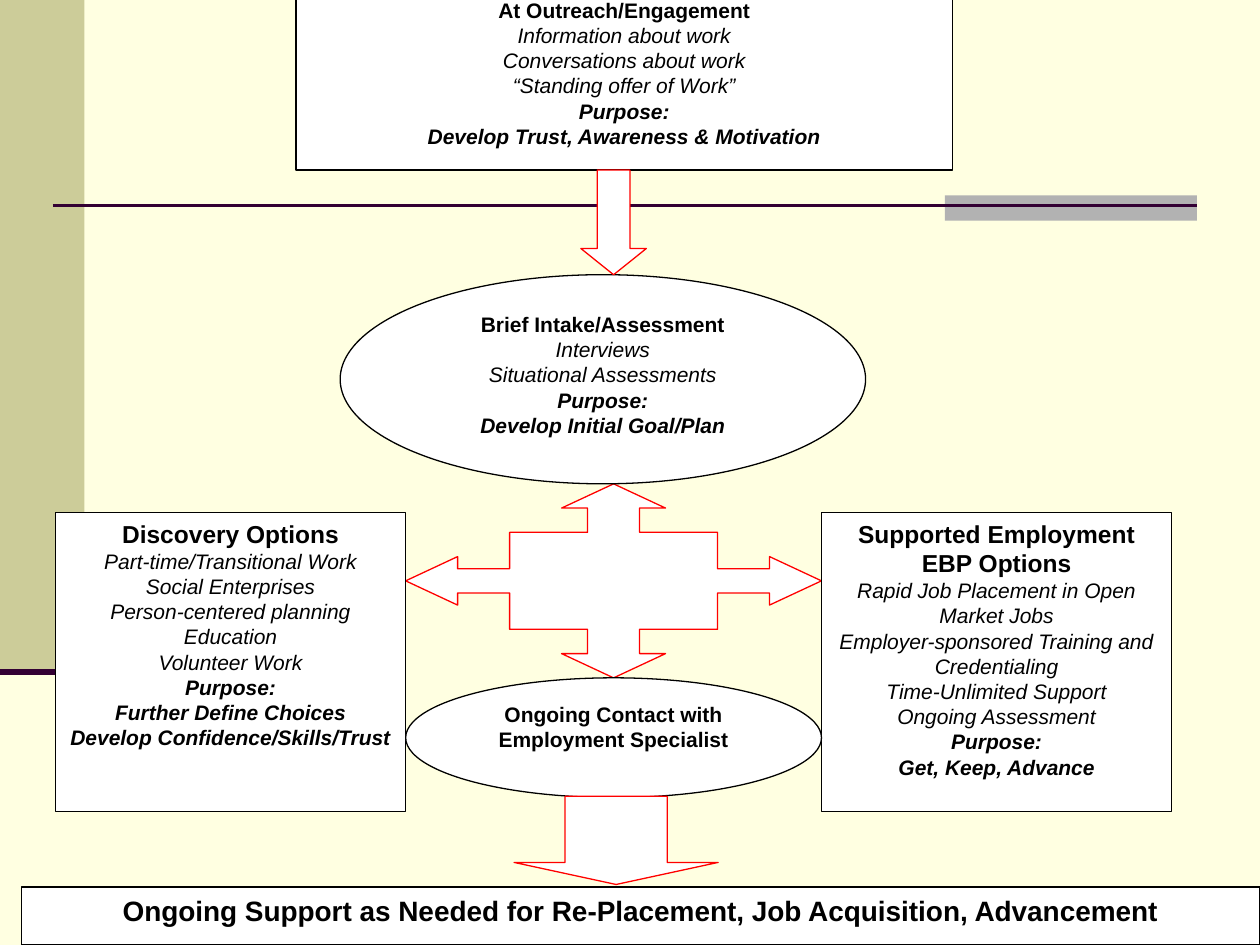
"""Build a flow chart slide of employment support, from outreach to ongoing support."""
from pptx import Presentation
from pptx import util as u
from pptx.dml.color import RGBColor
from pptx.enum import shapes, text
from pptx.oxml.ns import qn
from lxml import etree

WIDTH, HEIGHT = u.Inches(10), u.Inches(7.5)
CREAM, OLIVE, GRAY, PLUM = "FFFFE1", "CCCC99", "B2B2B2", "330033"
WHITE, BLACK, RED = "FFFFFF", "000000", "FF0000"
KIND = shapes.MSO_SHAPE

# Places are left, top, width and height in percent of the slide.
BANDS = [((0, 0, 6.7, 71.07), OLIVE), ((75, 20.67, 20, 2.67), GRAY)]
RULES = [(4.2, 95, 21.73, 1.5), (0, 6.7, 71.07, 3.5)]
ARROWS = [((46.1, 18, 5.2, 11.07), 0.4), ((40.8, 84.27, 16.2, 9.33), 0.25)]
CROSS = (32.2, 51.2, 33, 20.53)
QUADRANT = [(0, -1), (0.25, -0.75), (0.125, -0.75), (0.125, -0.5),
            (0.5, -0.5), (0.5, -0.125), (0.75, -0.125), (0.75, -0.25)]

STAGES = [
    dict(kind=KIND.RECTANGLE, place=(23.5, -0.93, 52.1, 18.93), size=12,
         heading="At Outreach/Engagement",
         steps=["Information about work", "Conversations about work",
                "“Standing offer of Work”"],
         purpose=["Purpose:", "Develop Trust, Awareness & Motivation"]),
    dict(kind=KIND.OVAL, place=(27, 29.07, 41.7, 22.13), size=12,
         heading="Brief Intake/Assessment",
         steps=["Interviews", "Situational Assessments"],
         purpose=["Purpose:", "Develop Initial Goal/Plan"]),
    dict(kind=KIND.RECTANGLE, place=(4.4, 54.27, 27.8, 31.6), size=14,
         heading="Discovery Options",
         steps=["Part-time/Transitional Work", "Social Enterprises",
                "Person-centered planning", "Education", "Volunteer Work"],
         purpose=["Purpose:", "Further Define Choices",
                  "Develop Confidence/Skills/Trust"]),
    dict(kind=KIND.RECTANGLE, place=(65.2, 54.27, 27.8, 31.6), size=14,
         heading="Supported Employment EBP Options",
         steps=["Rapid Job Placement in Open Market Jobs",
                "Employer-sponsored Training and Credentialing",
                "Time-Unlimited Support", "Ongoing Assessment"],
         purpose=["Purpose:", "Get, Keep, Advance"]),
    dict(kind=KIND.OVAL, place=(32.2, 71.73, 33, 12.67), size=12,
         heading="Ongoing Contact with Employment Specialist"),
    dict(kind=KIND.RECTANGLE, place=(1.7, 93.87, 98.3, 6.13), size=16,
         heading="Ongoing Support as Needed for Re-Placement, "
                 "Job Acquisition, Advancement"),
]


def color(value):
    return RGBColor.from_string(value)


def across(percent):
    return round(WIDTH * percent / 100)


def down(percent):
    return round(HEIGHT * percent / 100)


def paint(shape, fill, line=None):
    shape.shadow.inherit = False
    shape.fill.solid()
    shape.fill.fore_color.rgb = color(fill)
    if line:
        shape.line.color.rgb = color(line)
        shape.line.width = u.Pt(0.75)
    else:
        shape.line.fill.background()


def add_box(slide, kind, place, fill, line=None):
    left, top, width, height = place
    box = slide.shapes.add_shape(kind, across(left), down(top), across(width), down(height))
    paint(box, fill, line)
    return box


def add_rule(slide, start, end, level, weight):
    rule = slide.shapes.add_connector(shapes.MSO_CONNECTOR.STRAIGHT, across(start),
                                      down(level), across(end), down(level))
    rule.line.color.rgb = color(PLUM)
    rule.line.width = u.Pt(weight)
    etree.SubElement(rule._element.spPr, qn("a:effectLst"))


def add_cross(slide, place):
    left, top, width, height = place
    outline, quarter = [], QUADRANT
    for _ in range(4):
        outline += [(across(left + width * (1 + x) / 2), down(top + height * (1 + y) / 2))
                    for x, y in quarter]
        quarter = [(-y, x) for x, y in quarter]
    builder = slide.shapes.build_freeform(*outline[0])
    builder.add_line_segments(outline[1:], close=True)
    paint(builder.convert_to_shape(), WHITE, RED)


def write(paragraph, words, size=12, bold=False, italic=False):
    paragraph.text = words
    paragraph.alignment = text.PP_ALIGN.CENTER
    font = paragraph.font
    font.name, font.size = "Arial", u.Pt(size)
    font.bold, font.italic = bold, italic
    font.color.rgb = color(BLACK)


def add_stage(slide, kind, place, size, heading, steps=(), purpose=()):
    frame = add_box(slide, kind, place, WHITE, BLACK).text_frame
    frame.word_wrap = True
    frame.vertical_anchor = text.MSO_ANCHOR.TOP
    write(frame.paragraphs[0], heading, size=size, bold=True)
    for step in steps:
        write(frame.add_paragraph(), step, italic=True)
    for aim in purpose:
        write(frame.add_paragraph(), aim, bold=True, italic=True)


def main():
    deck = Presentation()
    deck.slide_width, deck.slide_height = WIDTH, HEIGHT
    slide = deck.slides.add_slide(deck.slide_layouts[6])
    slide.background.fill.solid()
    slide.background.fill.fore_color.rgb = color(CREAM)
    for place, fill in BANDS:
        add_box(slide, KIND.RECTANGLE, place, fill)
    for rule in RULES:
        add_rule(slide, *rule)
    add_cross(slide, CROSS)
    for stage in STAGES:
        add_stage(slide, **stage)
    for place, head in ARROWS:
        arrow = add_box(slide, KIND.DOWN_ARROW, place, WHITE, RED)
        arrow.adjustments[0], arrow.adjustments[1] = 0.5, head
    deck.save("out.pptx")


if __name__ == "__main__":
    main()
